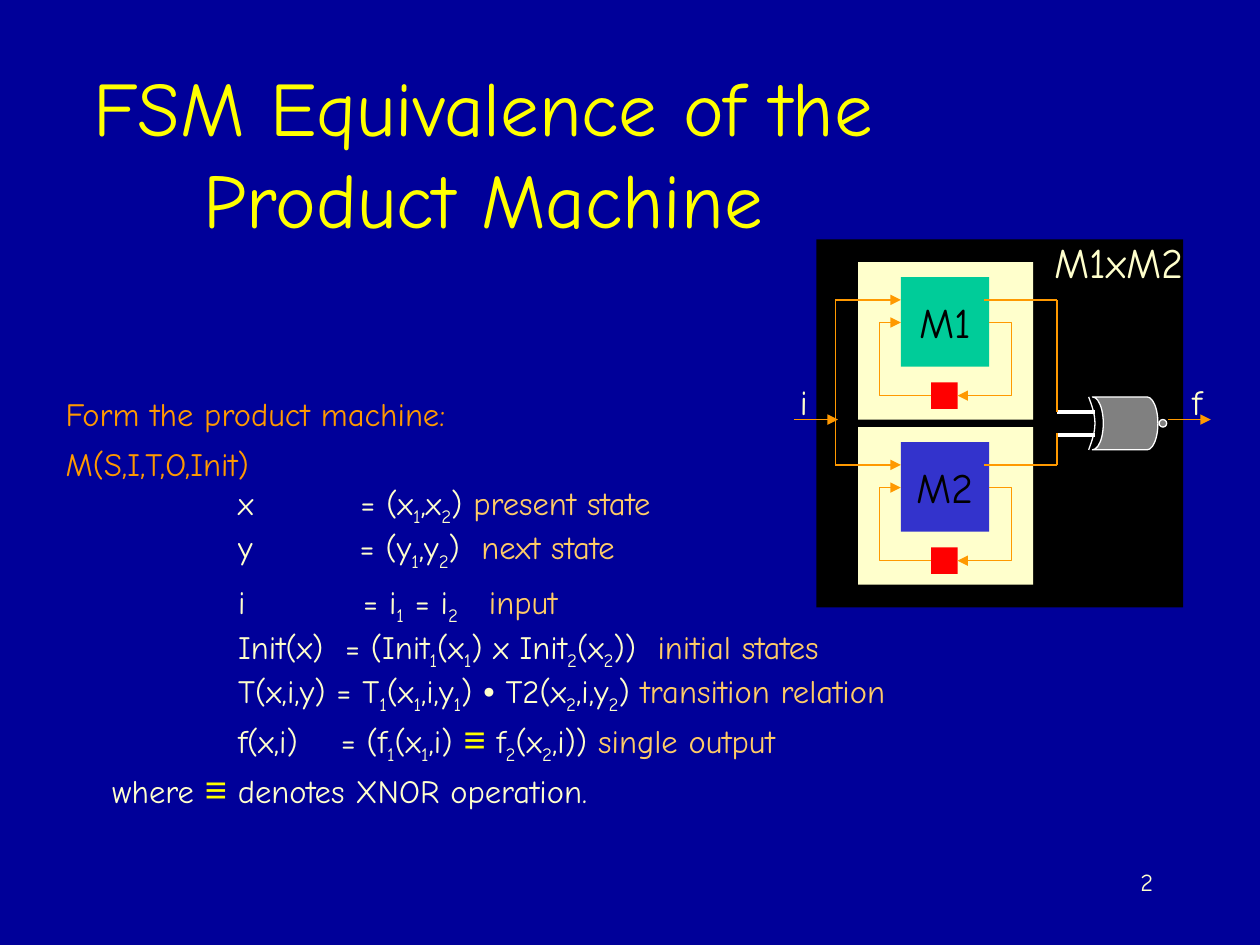
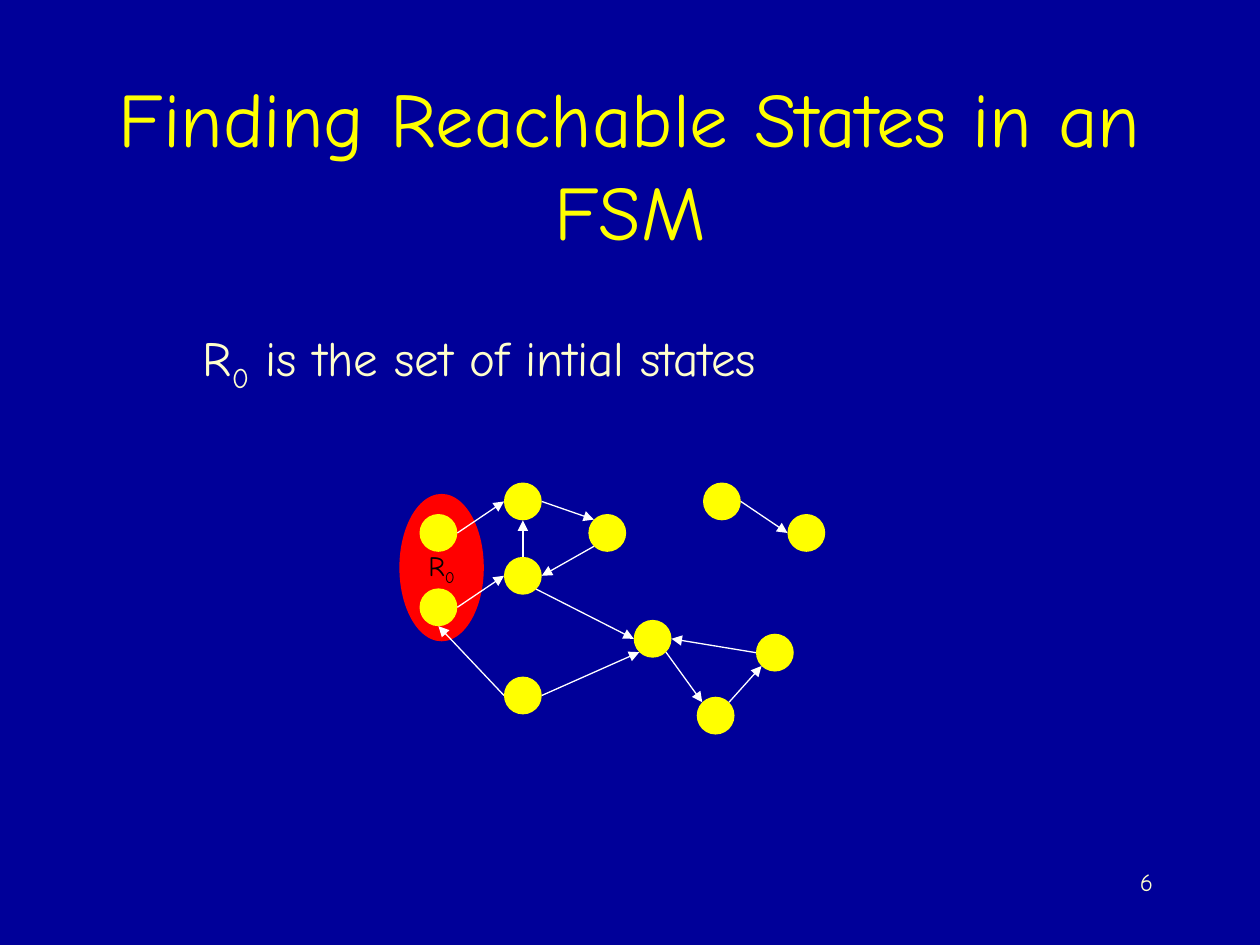
import math

import pptx
import pptx.util
import pptx.dml.color
import pptx.enum.shapes
import pptx.enum.text
import pptx.oxml
import pptx.oxml.ns
from lxml import etree

Inches = pptx.util.Inches
Pt = pptx.util.Pt
SHAPE = pptx.enum.shapes.MSO_SHAPE
CONNECTOR = pptx.enum.shapes.MSO_CONNECTOR
ALIGN = pptx.enum.text.PP_ALIGN
ANCHOR = pptx.enum.text.MSO_ANCHOR
qn = pptx.oxml.ns.qn

COLOURS = {
    "background": "000099", "title": "FFFF00", "text": "FFFFCC",
    "heading": "FF9900", "meaning": "FFCC66", "wire": "FF9900",
    "product": "000000", "panel": "FFFFCC", "latch": "FF0000",
    "m1": "00CC99", "m2": "3333CC", "gate": "808080", "white": "FFFFFF",
    "label": "000000", "initial": "FF0000", "state": "FFFF00",
}
FONT = "Comic Neue"
SYMBOL_FONT = "Arial"
LINE_WIDTH = 0.75
BODY_SIZE = 18.6

# Run styles of the definitions; an underscore lowers the character after it.
STYLES = {
    "heading": {"colour": "heading"},
    "formula": {"colour": "text"},
    "meaning": {"colour": "meaning"},
    "dot": {"colour": "text", "font": SYMBOL_FONT},
    "xnor": {"colour": "title", "font": SYMBOL_FONT, "size": 21.7},
    # One space, widened by a number of points
    "gap 6": {"spacing": 6.1},
    "gap 12": {"spacing": 11.5},
    "gap 18": {"spacing": 18.3},
    "gap 55": {"spacing": 54.9},
    "gap 61": {"spacing": 61},
}
FORMULA_MARGIN = 1.37
# Each line: space before, left margin, styled runs
DEFINITIONS = [
    (6, 0, [("heading", "Form the product machine:")]),
    (6, 0, [("heading", "M(S,I,T,O,Init)")]),
    (0, FORMULA_MARGIN,
     [("formula", "x"), ("gap 55", " "), ("formula", "= (x_1,x_2) "),
      ("meaning", "present state")]),
    (0, FORMULA_MARGIN,
     [("formula", "y"), ("gap 55", " "), ("formula", "= (y_1,y_2)"),
      ("gap 6", " "), ("meaning", "next state")]),
    (6, FORMULA_MARGIN,
     [("formula", "i"), ("gap 61", " "), ("formula", "= i_1 = i_2"),
      ("gap 12", " "), ("meaning", "input")]),
    (0, FORMULA_MARGIN,
     [("formula", "Init(x)"), ("gap 6", " "),
      ("formula", "= (Init_1(x_1) x Init_2(x_2))"), ("gap 6", " "),
      ("meaning", "initial states")]),
    (0, FORMULA_MARGIN,
     [("formula", "T(x,i,y) = T_1(x_1,i,y_1) "), ("dot", "•"),
      ("formula", " T2(x_2,i,y_2) "), ("meaning", "transition relation")]),
    (0, FORMULA_MARGIN,
     [("formula", "f(x,i)"), ("gap 18", " "), ("formula", "= (f_1(x_1,i) "),
      ("xnor", "≡"), ("formula", " f_2(x_2,i)) "), ("meaning", "single output")]),
    (0, 0.37,
     [("formula", "where "), ("xnor", "≡"),
      ("formula", " denotes XNOR operation.")]),
]

# Machine name, top of its panel, fill
MACHINES = [("M2", 3.39, "m2"), ("M1", 2.08, "m1")]
PANEL_LEFT, PANEL_WIDTH, PANEL_HEIGHT = 6.81, 1.39, 1.25
INPUT_X, OUTPUT_X, SIGNAL_Y = 6.63, 8.39, 3.33
INPUT_ROW = 0.3
GATE_LEFT, GATE_TOP, GATE_HEIGHT = 8.67, 3.15, 0.42
DIAGRAM_LABELS = [
    ("M1xM2", (8.27, 1.83, 1.22, 0.5), 24),
    ("i", (6.25, 2.97, 0.26, 0.44), 20),
    ("f", (9.36, 2.97, 0.28, 0.44), 20),
]

STATE_SIZE = 0.3
STATES = {
    "start low": (3.33, 4.67), "start high": (3.33, 4.08),
    "middle": (4, 4.42), "top": (4, 3.83), "right": (4.67, 4.08),
    "bottom": (4, 5.37), "hub": (5.03, 4.92), "loop low": (5.53, 5.53),
    "loop high": (6, 5.03), "apart left": (5.58, 3.83),
    "apart right": (6.25, 4.08),
}
COMPASS = ["E", "SE", "S", "SW", "W", "NW", "N", "NE"]
TRANSITIONS = [
    ("start high", "E", "top", "W"), ("middle", "N", "top", "S"),
    ("start low", "E", "middle", "W"), ("top", "E", "right", "NW"),
    ("right", "SW", "middle", "E"), ("apart left", "E", "apart right", "W"),
    ("middle", "SE", "hub", "W"), ("bottom", "W", "start low", "S"),
    ("bottom", "E", "hub", "SW"), ("hub", "SE", "loop low", "NW"),
    ("loop low", "NE", "loop high", "SW"), ("loop high", "W", "hub", "E"),
]


def rgb(name):
    return pptx.dml.color.RGBColor.from_string(COLOURS[name])


def write(paragraph, text, size=BODY_SIZE, colour="text", font=FONT, align=None, spacing=0):
    """Append text to the paragraph; the character after an underscore is lowered."""
    if align is not None:
        paragraph.alignment = align
    first, *others = text.split("_")
    pieces = [(first, False)]
    for part in others:
        pieces += [(part[0], True), (part[1:], False)]
    for piece, lowered in pieces:
        if not piece:
            continue
        run = paragraph.add_run()
        run.text = piece
        run.font.size = Pt(size)
        run.font.name = font
        run.font.color.rgb = rgb(colour)
        if lowered:
            run.font._element.set("baseline", "-25000")
        if spacing:
            run.font._element.set("spc", str(round(spacing * 100)))


def place(shape, box):
    shape.left, shape.top, shape.width, shape.height = map(Inches, box)


def add_shape(slide, kind, box, fill, line=None):
    shape = slide.shapes.add_shape(kind, *map(Inches, box))
    shape.shadow.inherit = False
    shape.fill.solid()
    shape.fill.fore_color.rgb = rgb(fill)
    outline(shape, line)
    return shape


def outline(shape, colour, width=LINE_WIDTH):
    if colour is None:
        shape.line.fill.background()
    else:
        shape.line.color.rgb = rgb(colour)
        shape.line.width = Pt(width)


def label(shape, text, **text_format):
    """Write one unwrapped, vertically centred line in the shape."""
    frame = shape.text_frame
    frame.word_wrap = False
    frame.vertical_anchor = ANCHOR.MIDDLE
    write(frame.paragraphs[0], text, **text_format)


def add_label(slide, text, box, **text_format):
    label(slide.shapes.add_textbox(*map(Inches, box)), text, **text_format)


def add_line(slide, start, end, colour="wire", width=LINE_WIDTH, arrow=False, bend=None):
    """Draw a line; bend is the share of the width at which an elbow turns."""
    kind = CONNECTOR.STRAIGHT if bend is None else CONNECTOR.ELBOW
    connector = slide.shapes.add_connector(kind, *map(Inches, (*start, *end)))
    outline(connector, colour, width)
    properties = connector.element.spPr
    if arrow:
        etree.SubElement(properties.find(qn("a:ln")), qn("a:tailEnd"), type="triangle")
    if bend is not None:
        geometry = properties.find(qn("a:prstGeom"))
        adjustments = geometry.find(qn("a:avLst"))
        if adjustments is None:
            adjustments = etree.SubElement(geometry, qn("a:avLst"))
        etree.SubElement(adjustments, qn("a:gd"), name="adj1",
                         fmla=f"val {round(bend * 100000)}")
    etree.SubElement(properties, qn("a:effectLst"))


def add_slide(presentation, layout_index, title, title_box, number):
    slide = presentation.slides.add_slide(presentation.slide_layouts[layout_index])
    place(slide.shapes.title, title_box)
    frame = slide.shapes.title.text_frame
    frame.auto_size = pptx.enum.text.MSO_AUTO_SIZE.NONE
    frame.vertical_anchor = ANCHOR.MIDDLE
    write(frame.paragraphs[0], title, size=44, colour="title", align=ALIGN.CENTER)
    number_box = slide.shapes.add_textbox(*map(Inches, (7.17, 6.83, 2.08, 0.5)))
    number_box.text_frame.word_wrap = True
    write(number_box.text_frame.paragraphs[0], str(number), size=14, align=ALIGN.RIGHT)
    return slide


def fill_definitions(body):
    place(body, (0.42, 3.08, 9.17, 3.58))
    frame = body.text_frame
    frame.auto_size = pptx.enum.text.MSO_AUTO_SIZE.NONE
    for index, (space, margin, runs) in enumerate(DEFINITIONS):
        paragraph = frame.add_paragraph() if index else frame.paragraphs[0]
        paragraph.space_before = Pt(space)
        properties = paragraph._p.get_or_add_pPr()
        properties.set("marL", str(Inches(margin)))
        properties.set("indent", "0")
        etree.SubElement(properties, qn("a:buNone"))
        for style, text in runs:
            write(paragraph, text, **STYLES[style])


def draw_machine(slide, name, top, fill):
    """Draw a machine with its feedback through a latch, and its input wire."""
    add_shape(slide, SHAPE.RECTANGLE, (PANEL_LEFT, top, PANEL_WIDTH, PANEL_HEIGHT), "panel")
    left, right, feedback_y = 7.15, 7.85, top + 0.48
    latch_left, latch_right, latch_y = 7.39, 7.6, top + 1.06
    machine = add_shape(slide, SHAPE.RECTANGLE, (left, top + 0.12, right - left, 0.71), fill)
    label(machine, name, size=24, colour="label", align=ALIGN.CENTER)
    latch_size = latch_right - latch_left
    add_shape(slide, SHAPE.RECTANGLE,
              (latch_left, latch_y - latch_size / 2, latch_size, latch_size), "latch")
    input_y = top + INPUT_ROW
    add_line(slide, (INPUT_X, input_y), (left, input_y), arrow=True)
    add_line(slide, (latch_left, latch_y), (left, feedback_y), arrow=True, bend=1.7)
    add_line(slide, (right, feedback_y), (latch_right, latch_y), arrow=True, bend=-0.72)


def draw_xnor_gate(slide):
    body = add_shape(slide, SHAPE.FLOWCHART_STORED_DATA,
                     (GATE_LEFT, GATE_TOP, 0.52, GATE_HEIGHT), "gate", "white")
    body.element.spPr.xfrm.set("flipH", "1")
    for y in (3.45, 3.27):
        add_line(slide, (OUTPUT_X, y), (OUTPUT_X + 0.3, y), "white", 2.25)
    steps = 16
    points = [(Inches(8.64 + 0.05 * math.sin(math.pi * step / steps)),
               Inches(GATE_TOP + GATE_HEIGHT * step / steps)) for step in range(steps + 1)]
    builder = slide.shapes.build_freeform(*points[0])
    builder.add_line_segments(points[1:], close=False)
    arc = builder.convert_to_shape()
    arc.shadow.inherit = False
    arc.fill.background()
    outline(arc, "white")
    add_shape(slide, SHAPE.OVAL, (9.2, SIGNAL_Y, 0.06, 0.06), "gate", "white")


def draw_product_machine(slide):
    add_shape(slide, SHAPE.RECTANGLE, (6.48, 1.9, 2.91, 2.92), "product")
    for machine in MACHINES:
        draw_machine(slide, *machine)
    low, high = (top + INPUT_ROW for name, top, fill in MACHINES)
    add_line(slide, (INPUT_X, low), (INPUT_X, high))
    draw_xnor_gate(slide)
    for row, gate_y in ((high, 3.27), (low, 3.44)):
        add_line(slide, (7.81, row), (OUTPUT_X, row))
        add_line(slide, (OUTPUT_X, gate_y), (OUTPUT_X, row))
    for start, end in ((6.3, 6.65), (9.27, 9.61)):
        add_line(slide, (start, SIGNAL_Y), (end, SIGNAL_Y), arrow=True)
    for text, box, size in DIAGRAM_LABELS:
        add_label(slide, text, box, size=size, align=ALIGN.CENTER)


def rim_point(state, direction):
    """Point on a state's circle in a compass direction."""
    left, top = STATES[state]
    radius = STATE_SIZE / 2
    angle = COMPASS.index(direction) * math.pi / 4
    return (left + radius * (1 + math.cos(angle)), top + radius * (1 + math.sin(angle)))


def draw_state_graph(slide):
    initial_set = add_shape(slide, SHAPE.OVAL, (3.17, 3.92, 0.67, 1.17), "initial")
    label(initial_set, "R_0", size=16, colour="label", align=ALIGN.CENTER)
    for left, top in STATES.values():
        add_shape(slide, SHAPE.OVAL, (left, top, STATE_SIZE, STATE_SIZE), "state")
    for source, leaving, target, entering in TRANSITIONS:
        add_line(slide, rim_point(source, leaving), rim_point(target, entering),
                 "white", arrow=True)


def main():
    presentation = pptx.Presentation()
    presentation.slide_width, presentation.slide_height = Inches(10), Inches(7.5)
    background = presentation.slide_master.background.fill
    background.solid()
    background.fore_color.rgb = rgb("background")

    product = add_slide(presentation, 1, "FSM Equivalence of the Product Machine",
                        (0.25, 0.58, 7.17, 1.25), 2)
    fill_definitions(product.placeholders[1])
    draw_product_machine(product)

    reachable = add_slide(presentation, 5, "Finding Reachable States in an FSM",
                          (0.75, 0.67, 8.5, 1.25), 6)
    draw_state_graph(reachable)
    add_label(reachable, "R_0 is the set of intial states", (1.51, 2.55, 4.62, 0.63),
              size=28, align=ALIGN.LEFT)
    presentation.save("out.pptx")


if __name__ == "__main__":
    main()
